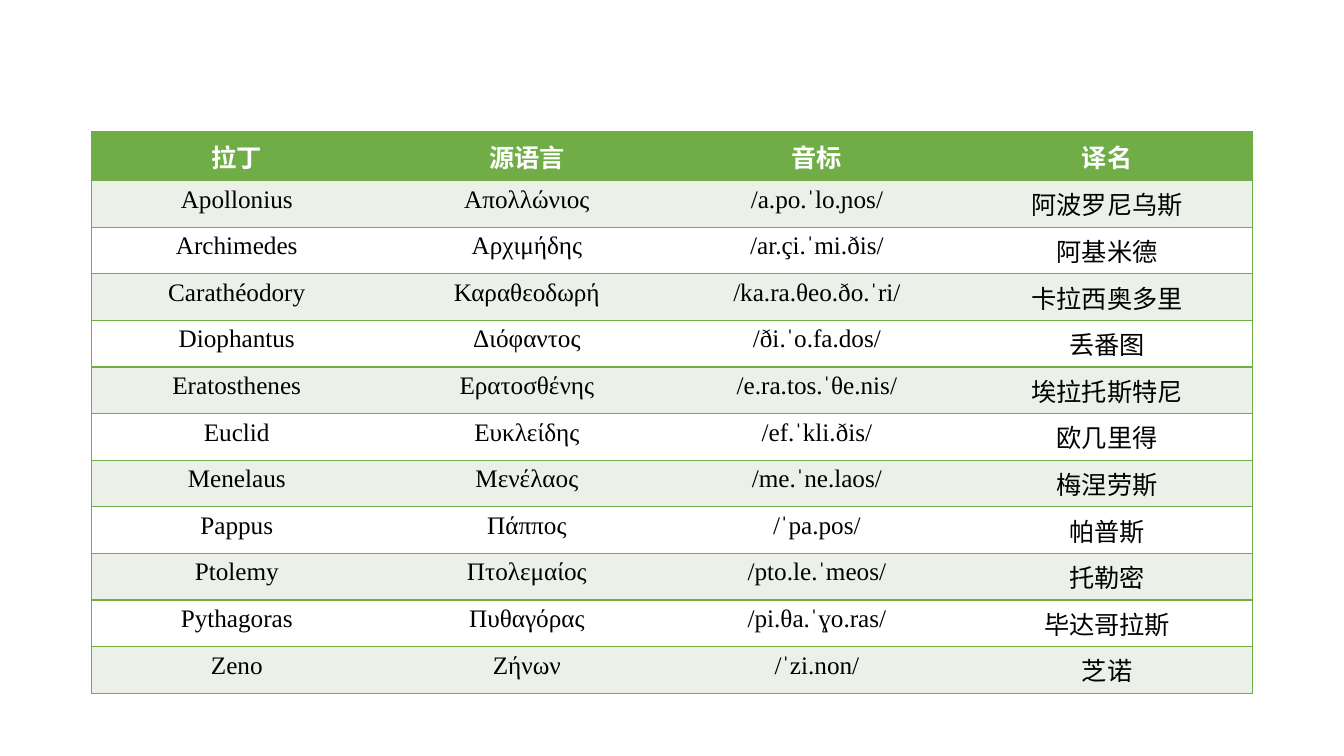
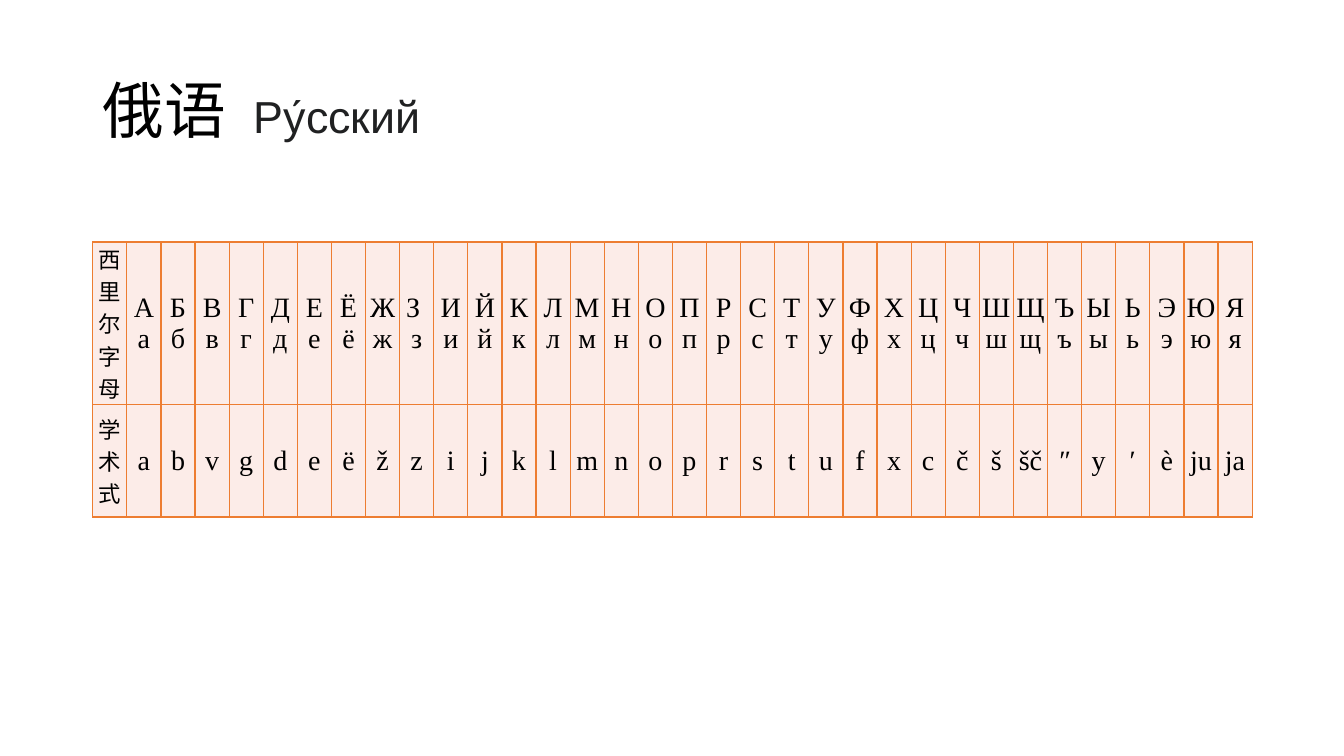
from lxml import etree
from pptx import Presentation
from pptx.dml.color import RGBColor
from pptx.enum.text import MSO_ANCHOR, PP_ALIGN
from pptx.oxml.ns import qn
from pptx.util import Inches, Pt

TOP, MIDDLE = MSO_ANCHOR.TOP, MSO_ANCHOR.MIDDLE
LEFT, CENTER = PP_ALIGN.LEFT, PP_ALIGN.CENTER

COLORS = {
    "black": "000000",
    "white": "FFFFFF",
    "title_accent": "202122",
    "green": "70AD47",
    "green_tint": "EBF1E9",
    "orange": "ED7D31",
    "orange_tint": "FCECE8",
}
CJK, SERIF, SANS = "Noto Sans CJK SC", "Times New Roman", "Arial"
BORDER_PT = 1

NAMES_HEADER = ("拉丁", "源语言", "音标", "译名")
NAMES = [
    ("Apollonius", "Απολλώνιος", "/a.po.ˈlo.ɲos/", "阿波罗尼乌斯"),
    ("Archimedes", "Αρχιμήδης", "/ar.çi.ˈmi.ðis/", "阿基米德"),
    ("Carathéodory", "Καραθεοδωρή", "/ka.ra.θeo.ðo.ˈri/", "卡拉西奥多里"),
    ("Diophantus", "Διόφαντος", "/ði.ˈo.fa.dos/", "丢番图"),
    ("Eratosthenes", "Ερατοσθένης", "/e.ra.tos.ˈθe.nis/", "埃拉托斯特尼"),
    ("Euclid", "Ευκλείδης", "/ef.ˈkli.ðis/", "欧几里得"),
    ("Menelaus", "Μενέλαος", "/me.ˈne.laos/", "梅涅劳斯"),
    ("Pappus", "Πάππος", "/ˈpa.pos/", "帕普斯"),
    ("Ptolemy", "Πτολεμαίος", "/pto.le.ˈmeos/", "托勒密"),
    ("Pythagoras", "Πυθαγόρας", "/pi.θa.ˈɣo.ras/", "毕达哥拉斯"),
    ("Zeno", "Ζήνων", "/ˈzi.non/", "芝诺"),
]
CYRILLIC = "АБВГДЕЁЖЗИЙКЛМНОПРСТУФХЦЧШЩЪЫЬЭЮЯ"
SCHOLARLY = ("a b v g d e ë ž z i j k l m n o p r s t u f x c "
             "č š šč ʺ y ʹ è ju ja").split()


def rgb(name):
    return RGBColor.from_string(COLORS[name])


def add_run(p, text, *, size, font=SERIF, color="black", bold=False, spacing=0):
    """Add a run; spacing is extra space after each character, in points."""
    r = p.add_run()
    r.text = text
    r.font.size, r.font.name, r.font.bold = Pt(size), font, bold
    r.font.color.rgb = rgb(color)
    props = r.font._element
    etree.SubElement(props, qn("a:ea")).set("typeface", font)
    if spacing:
        props.set("spc", str(spacing * 100))


def set_border(cell, side, color):
    """Draw one side (L, R, T or B) of a cell; no colour means no line."""
    props = cell._tc.get_or_add_tcPr()
    ln = etree.SubElement(props, qn(f"a:ln{side}"), w=str(Pt(BORDER_PT)))
    if color is None:
        etree.SubElement(ln, qn("a:noFill"))
        return
    fill = etree.SubElement(ln, qn("a:solidFill"))
    etree.SubElement(fill, qn("a:srgbClr"), val=COLORS[color])


def fill_cell(cell, text, *, fill, borders, insets, anchor=TOP, **fmt):
    """Write a centred cell; borders maps each side to a colour or None."""
    for side, color in borders.items():
        set_border(cell, side, color)
    cell.fill.solid()
    cell.fill.fore_color.rgb = rgb(fill)
    cell.vertical_anchor = anchor
    cell.margin_left = cell.margin_right = Inches(insets[0])
    cell.margin_top = cell.margin_bottom = Inches(insets[1])
    tf = cell.text_frame
    for i, line in enumerate(text.split("\n")):
        p = tf.add_paragraph() if i else tf.paragraphs[0]
        p.alignment = CENTER
        add_run(p, line, **fmt)


def add_grid(s, left, top, width, row_heights, col_count):
    """Add a plain table with equal columns."""
    frame = s.shapes.add_table(len(row_heights), col_count, Inches(left), Inches(top),
                               Inches(width), Inches(sum(row_heights)))
    table = frame.table
    table.first_row = table.horz_banding = False
    for col in table.columns:
        col.width = Inches(width / col_count)
    for row, height in zip(table.rows, row_heights):
        row.height = Inches(height)
    return table


def add_names_table(s, left, top, width):
    rows = [NAMES_HEADER, *NAMES]
    last = len(NAMES_HEADER) - 1
    table = add_grid(s, left, top, width, [0.48] + [0.46] * len(NAMES), last + 1)
    for i, row in enumerate(rows):
        for j, text in enumerate(row):
            if i == 0:
                look = dict(fill="green", insets=(0.12, 0.06), font=CJK,
                            color="white", bold=True)
            else:
                look = dict(fill="green_tint" if i % 2 else "white",
                            insets=(0.1, 0.05), font=CJK if j == last else SERIF)
            borders = {"L": "green" if j == 0 else None,
                       "R": "green" if j == last else None,
                       "T": "green", "B": "green"}
            fill_cell(table.cell(i, j), text, size=18, borders=borders, **look)


def add_alphabet_table(s, left, top, width):
    # The narrow pair needs its own line break; the others wrap at the space.
    pairs = [f"{c} \n{c.lower()}" if c == "З" else f"{c} {c.lower()}" for c in CYRILLIC]
    rows = [["西里尔字母", *pairs], ["学术式", *SCHOLARLY]]
    table = add_grid(s, left, top, width, [1.61, 1.12], len(rows[0]))
    borders = dict.fromkeys("LRTB", "orange")
    for i, row in enumerate(rows):
        for j, text in enumerate(row):
            look = dict(size=20) if j else dict(size=16, font=CJK)
            fill_cell(table.cell(i, j), text, fill="orange_tint", borders=borders,
                      insets=(0, 0), anchor=MIDDLE, **look)


def add_title(s, left, top, width, height, chinese, native):
    tf = s.shapes.add_textbox(Inches(left), Inches(top), Inches(width),
                              Inches(height)).text_frame
    tf.word_wrap = True
    tf.vertical_anchor = MIDDLE
    p = tf.paragraphs[0]
    p.alignment, p.line_spacing = LEFT, 0.9
    add_run(p, chinese, size=44, font=CJK)
    add_run(p, " ", size=44, font=CJK, spacing=10)
    add_run(p, native, size=32, font=SANS, color="title_accent")


def main():
    prs = Presentation()
    prs.slide_width, prs.slide_height = Inches(13.33), Inches(7.5)
    blank = prs.slide_layouts[6]

    s = prs.slides.add_slide(blank)
    add_names_table(s, 0.91, 1.31, 11.51)

    s = prs.slides.add_slide(blank)
    add_title(s, 0.92, 0.4, 11.5, 1.45, "俄语", "Ру́сский")
    add_alphabet_table(s, 0.92, 2.4, 11.5)

    prs.save("out.pptx")


if __name__ == "__main__":
    main()
